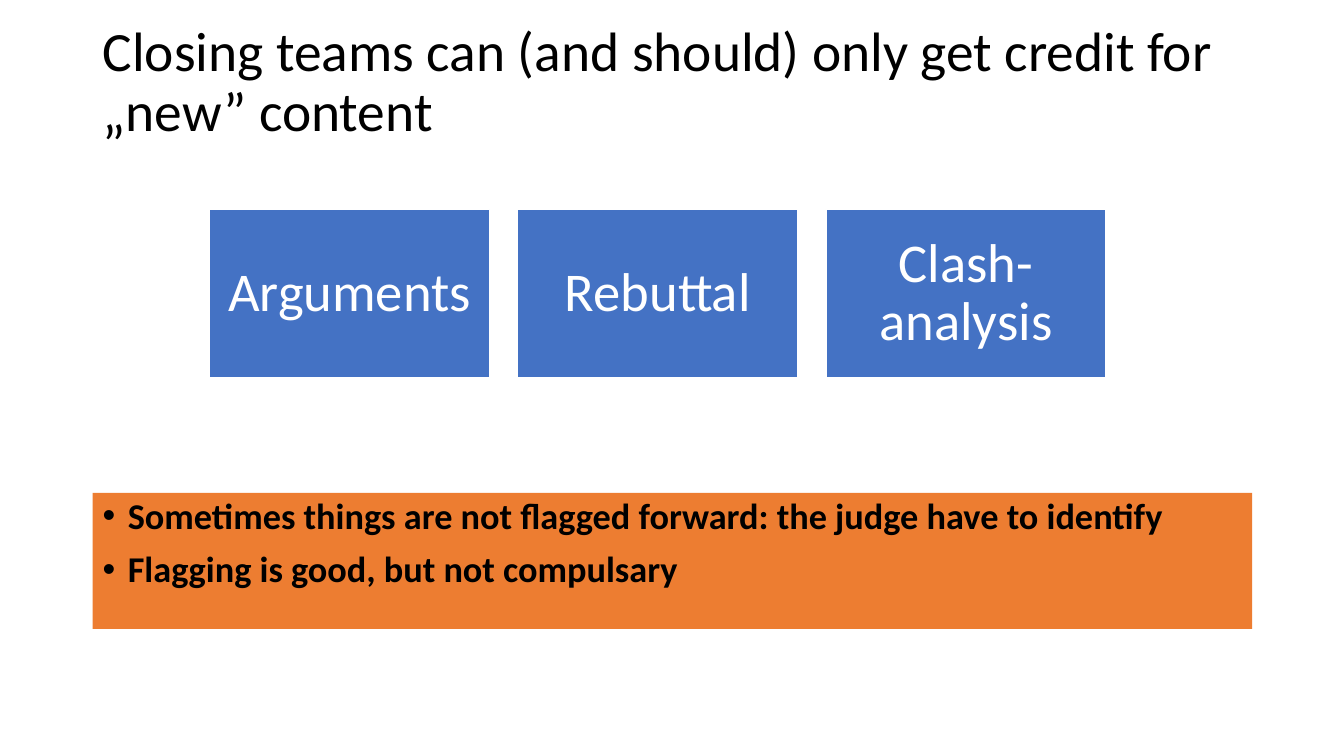
from lxml.etree import SubElement
from pptx import Presentation
from pptx.dml.color import RGBColor
from pptx.enum.shapes import MSO_SHAPE
from pptx.enum.text import MSO_ANCHOR, PP_ALIGN
from pptx.oxml.ns import qn
from pptx.util import Inches, Pt

LEFT, WIDTH = 0.92, 11.5


def color(value):
    return RGBColor.from_string(value)


def style(p, size, ink, align, bold=False):
    p.alignment = align
    p.line_spacing = 0.9
    for r in p.runs:
        r.font.name = "Calibri"
        r.font.size = Pt(size)
        r.font.bold = bold
        r.font.color.rgb = color(ink)


def add_block(s, box, fill):
    sp = s.shapes.add_shape(MSO_SHAPE.RECTANGLE, *map(Inches, box))
    sp.shadow.inherit = False
    sp.fill.solid()
    sp.fill.fore_color.rgb = color(fill)
    sp.line.fill.background()
    sp.text_frame.word_wrap = True
    return sp


def add_title(s, box, text):
    tf = s.shapes.add_textbox(*map(Inches, box)).text_frame
    tf.word_wrap = True
    tf.vertical_anchor = MSO_ANCHOR.MIDDLE
    tf.margin_bottom = Inches(0.64)
    tf.text = text
    style(tf.paragraphs[0], 39.6, "000000", PP_ALIGN.LEFT)


def add_cards(s, box, labels):
    left, top, width, height = box
    card = width / (len(labels) + 0.1 * (len(labels) - 1))
    for i, label in enumerate(labels):
        sp = add_block(s, (left + i * card * 1.1, top, card, height), "4472C4")
        sp.line.color.rgb = color("FFFFFF")
        sp.line.width = Pt(1)
        tf = sp.text_frame
        tf.margin_left = tf.margin_right = Inches(0.16)
        tf.margin_top = tf.margin_bottom = Inches(0.16)
        tf.vertical_anchor = MSO_ANCHOR.MIDDLE
        tf.text = label
        style(tf.paragraphs[0], 39, "FFFFFF", PP_ALIGN.CENTER)


def add_notice(s, box, points):
    tf = add_block(s, box, "ED7D31").text_frame
    tf.vertical_anchor = MSO_ANCHOR.TOP
    tf.text = "\n".join(points)
    for i, p in enumerate(tf.paragraphs):
        pPr = p._p.get_or_add_pPr()
        pPr.set("marL", str(Inches(0.25)))
        pPr.set("indent", str(Inches(-0.25)))
        SubElement(pPr, qn("a:buFont")).set("typeface", "Arial")
        SubElement(pPr, qn("a:buChar")).set("char", "•")
        style(p, 25.9, "000000", PP_ALIGN.JUSTIFY, bold=True)
        if i:
            p.space_before = Pt(10)


def main():
    prs = Presentation()
    prs.slide_width, prs.slide_height = Inches(13.33), Inches(7.5)
    s = prs.slides.add_slide(prs.slide_layouts[6])
    add_title(s, (LEFT, 0.4, WIDTH, 1.45),
              "Closing teams can (and should) only get credit for „new” content")
    add_notice(s, (LEFT, 4.89, WIDTH, 1.35), [
        "Sometimes things are not flagged forward: the judge have to identify",
        "Flagging is good, but not compulsary",
    ])
    add_cards(s, (2.08, 2.08, 8.89, 1.67),
              ["Arguments", "Rebuttal", "Clash-analysis"])
    prs.save("out.pptx")


if __name__ == "__main__":
    main()
